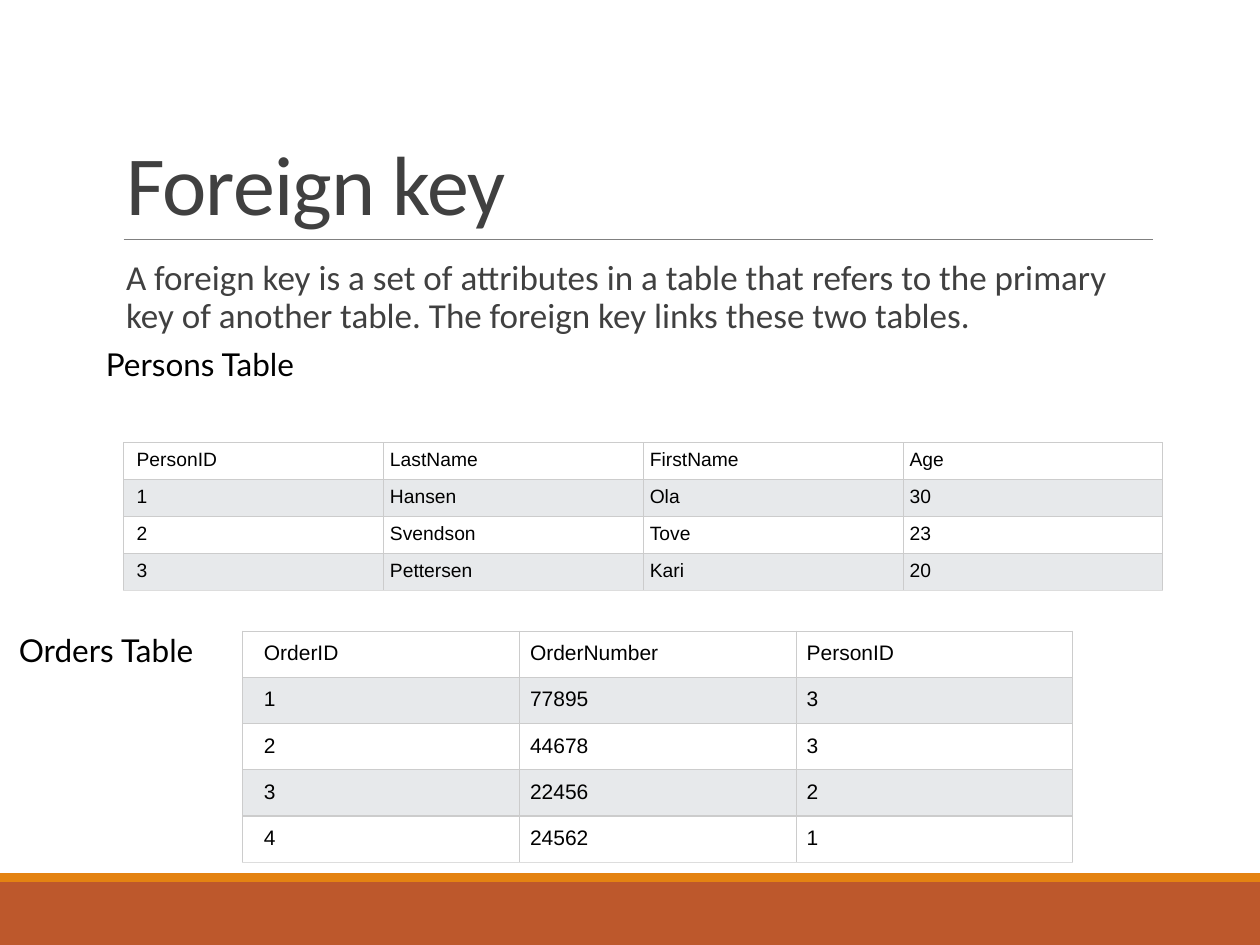
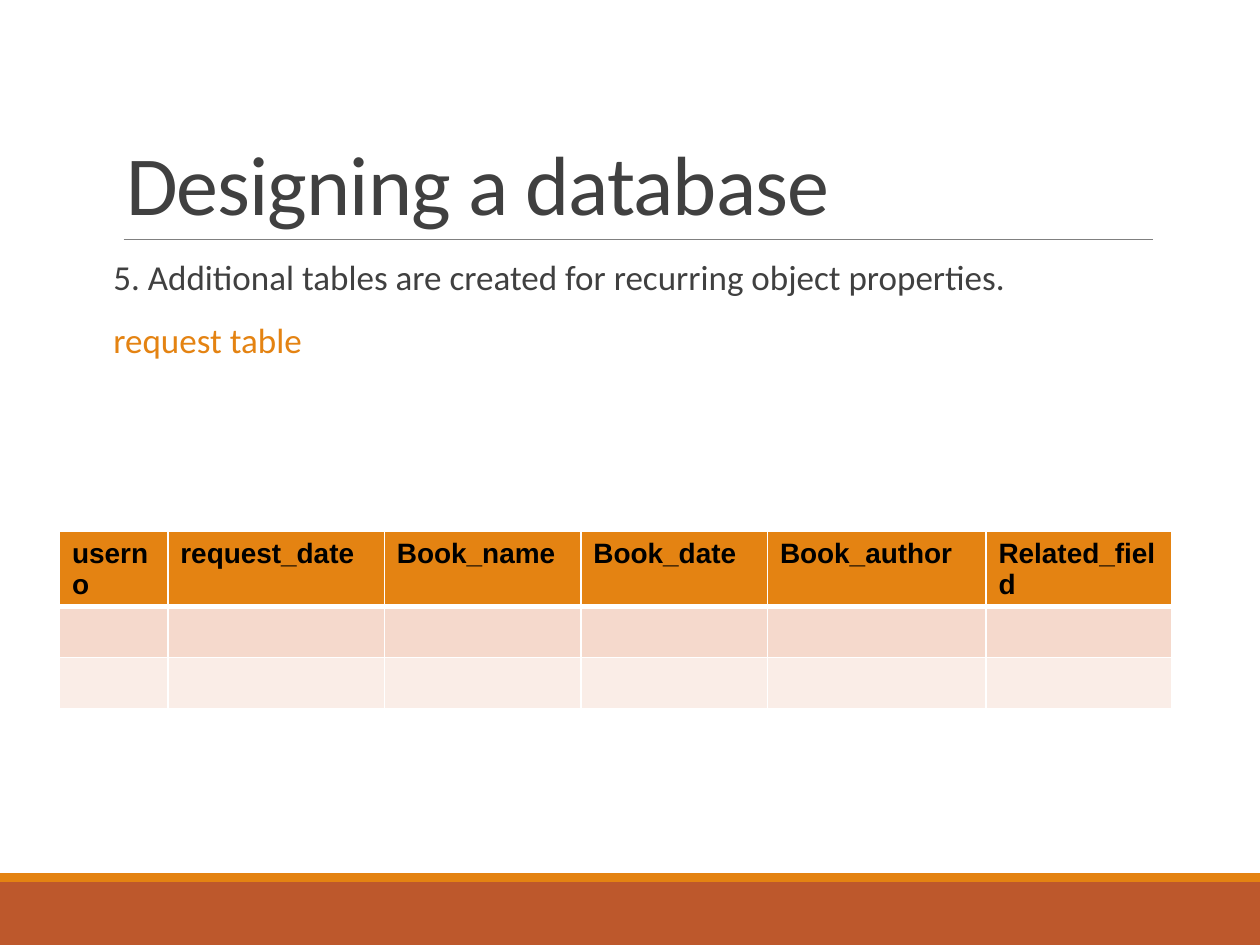
from dataclasses import dataclass

from lxml.etree import SubElement
from pptx import Presentation
from pptx.dml.color import RGBColor
from pptx.enum.shapes import MSO_CONNECTOR, MSO_SHAPE
from pptx.enum.text import MSO_ANCHOR, MSO_AUTO_SIZE, PP_ALIGN
from pptx.oxml import parse_xml
from pptx.oxml.ns import nsdecls, qn
from pptx.util import Pt


@dataclass(frozen=True)
class Theme:
    text_font: str = "Calibri"
    label_font: str = "Lato"
    table_font: str = "Arial"
    title_size: float = 48
    body_size: float = 20
    label_size: float = 18
    ink: str = "404040"
    black: str = "000000"
    white: str = "FFFFFF"
    orange: str = "E48312"
    rust: str = "BD582C"
    rule: str = "808080"
    stripe: str = "E7E9EB"
    grid: str = "CCCCCC"
    grid_end: str = "DDDDDD"
    peach: str = "F5D9CC"
    pale_peach: str = "FAEDE7"


THEME = Theme()
SLIDE_WIDTH, SLIDE_HEIGHT = 720, 540
TEXT_LEFT, TEXT_WIDTH = 64.8, 594
TITLE_BOX = (TEXT_LEFT, 22.3, TEXT_WIDTH, 114.5)
BODY_TOP = 145.4
BANDS = [(504, 36, THEME.rust), (499, 5, THEME.orange)]
RULE_Y, RULE_LEFT, RULE_RIGHT = 136.8, 70.6, 658.8

STRIPED = dict(fills=[THEME.white, THEME.stripe], border=(THEME.grid, 0.75),
               last_border=(THEME.grid_end, 0.75), bold=False)
PERSONS = dict(
    STRIPED, at=(70.6, 252.9), columns=[148.5] * 4, row_height=21.1, size=11,
    insets=(3.75, 3.75, 3.75), first_inset=7.5,
    rows=[
        ["PersonID", "LastName", "FirstName", "Age"],
        ["1", "Hansen", "Ola", "30"],
        ["2", "Svendson", "Tove", "23"],
        ["3", "Pettersen", "Kari", "20"],
    ],
)
ORDERS = dict(
    STRIPED, at=(138.8, 360.7), columns=[158.1] * 3, row_height=26.4, size=12,
    insets=(6, 6, 6), first_inset=12,
    rows=[
        ["OrderID", "OrderNumber", "PersonID"],
        ["1", "77895", "3"],
        ["2", "44678", "3"],
        ["3", "22456", "2"],
        ["4", "24562", "1"],
    ],
)
REQUESTS = dict(
    at=(34, 303.8), columns=[61.9, 123.8, 112.3, 106.6, 124.9, 106.2],
    row_height=29.2, size=16, bold=True,
    insets=(7.2, 7.2, 3.6), first_inset=7.2,
    fills=[THEME.orange, THEME.peach, THEME.pale_peach],
    border=(THEME.white, 1), last_border=(THEME.white, 1), header_border=(THEME.white, 3),
    rows=[
        ["userno", "request_date", "Book_name", "Book_date", "Book_author", "Related_field"],
        [""] * 6,
        [""] * 6,
    ],
)
SLIDES = [
    dict(
        title="Foreign key",
        body=[("A foreign key is a set of attributes in a table that refers to the primary "
               "key of another table. The foreign key links these two tables.", THEME.ink)],
        body_height=73.4, indent=(7.2, 0),
        tables=[PERSONS, ORDERS],
        labels=[("Persons Table", (60.5, 192.2, 130.3, 54), 5),
                ("Orders Table", (10.8, 360.7, 119.5, 61.2), 0)],
    ),
    dict(
        title="Designing a database",
        body=[("5. Additional tables are created for recurring object properties.", THEME.ink),
              ("request table", THEME.orange)],
        body_height=316.8, indent=(40.5, -40.5),
        tables=[REQUESTS], labels=[],
    ),
]


def points(values):
    return [Pt(value) for value in values]


def rgb(color):
    return RGBColor.from_string(color)


def paint(shape, color):
    shape.fill.solid()
    shape.fill.fore_color.rgb = rgb(color)


def style(paragraph, font_name, size, color, bold=False):
    paragraph.alignment = PP_ALIGN.LEFT
    font = paragraph.font
    for run in paragraph.runs:
        run.font.name, run.font.size, run.font.bold = font_name, Pt(size), bold
        run.font.color.rgb = rgb(color)
    return font


def place(shape, box):
    shape.left, shape.top, shape.width, shape.height = points(box)


def set_insets(frame, left, top, right, bottom):
    frame.margin_left, frame.margin_top, frame.margin_right, frame.margin_bottom = points(
        (left, top, right, bottom))


def add_block(slide, box, color):
    block = slide.shapes.add_shape(MSO_SHAPE.RECTANGLE, *points(box))
    block.shadow.inherit = False
    block.line.fill.background()
    paint(block, color)
    return block


def add_frame(slide):
    for top, height, color in BANDS:
        add_block(slide, (0, top, SLIDE_WIDTH, height), color)
    rule = slide.shapes.add_connector(
        MSO_CONNECTOR.STRAIGHT, *points((RULE_LEFT, RULE_Y, RULE_RIGHT, RULE_Y)))
    rule.line.color.rgb = rgb(THEME.rule)
    rule.line.width = Pt(0.5)
    SubElement(rule._element.spPr, qn("a:effectLst"))


def fill_title(title, text):
    place(title, TITLE_BOX)
    frame = title.text_frame
    frame.text = text
    frame.auto_size = MSO_AUTO_SIZE.NONE
    frame.vertical_anchor = MSO_ANCHOR.BOTTOM
    heading = frame.paragraphs[0]
    heading.line_spacing = 0.85
    style(heading, THEME.text_font, THEME.title_size, THEME.ink)
    heading.runs[0].font._element.set("spc", "-50")


def fill_body(body, content):
    place(body, (TEXT_LEFT, BODY_TOP, TEXT_WIDTH, content["body_height"]))
    frame = body.text_frame
    frame.text = "\n".join(text for text, _ in content["body"])
    frame.auto_size = MSO_AUTO_SIZE.NONE
    set_insets(frame, 0, 3.6, 0, 3.6)
    margin, first_line = content["indent"]
    for index, (paragraph, (_, color)) in enumerate(zip(frame.paragraphs, content["body"])):
        properties = paragraph._p.get_or_add_pPr()
        properties.set("marL", str(Pt(margin)))
        properties.set("indent", str(Pt(first_line)))
        SubElement(properties, qn("a:buNone"))
        paragraph.line_spacing = 0.9
        paragraph.space_before = Pt(12 if index else 0)
        paragraph.space_after = Pt(2)
        style(paragraph, THEME.text_font, THEME.body_size, color)


def set_borders(cell, borders):
    properties = cell._tc.get_or_add_tcPr()
    for index, (side, (color, width)) in enumerate(zip("LRTB", borders)):
        properties.insert(index, parse_xml(
            f'<a:ln{side} {nsdecls("a")} w="{Pt(width)}"><a:solidFill>'
            f'<a:srgbClr val="{color}"/></a:solidFill></a:ln{side}>'))


def add_data_table(slide, data):
    rows, columns = data["rows"], data["columns"]
    height = data["row_height"]
    table = slide.shapes.add_table(
        len(rows), len(columns),
        *points((*data["at"], sum(columns), height * len(rows)))).table
    table.first_row = table.horz_banding = False
    for column, width in zip(table.columns, columns):
        column.width = Pt(width)
    border = data["border"]
    header_border = data.get("header_border", border)
    bottoms = [header_border] + [border] * (len(rows) - 2) + [data["last_border"]]
    tops = [border] + bottoms[:-1]
    left, right, vertical = data["insets"]
    for row_index, values in enumerate(rows):
        table.rows[row_index].height = Pt(height)
        for column_index, value in enumerate(values):
            cell = table.cell(row_index, column_index)
            cell.text = value
            set_insets(cell, left if column_index else data["first_inset"],
                       vertical, right, vertical)
            paint(cell, data["fills"][row_index % len(data["fills"])])
            set_borders(cell, (border, border, tops[row_index], bottoms[row_index]))
            style(cell.text_frame.paragraphs[0], THEME.table_font, data["size"],
                  THEME.black, data["bold"])


def add_label(slide, text, box, top_inset):
    label = add_block(slide, box, THEME.white)
    frame = label.text_frame
    frame.text = text
    frame.word_wrap = True
    frame.vertical_anchor = MSO_ANCHOR.TOP
    set_insets(frame, 0, top_inset, 0, 5)
    style(frame.paragraphs[0], THEME.label_font, THEME.label_size, THEME.black)


def main():
    deck = Presentation()
    deck.slide_width, deck.slide_height = points((SLIDE_WIDTH, SLIDE_HEIGHT))
    for content in SLIDES:
        slide = deck.slides.add_slide(deck.slide_layouts[1])
        add_frame(slide)
        fill_title(slide.shapes.title, content["title"])
        fill_body(slide.placeholders[1], content)
        for data in content["tables"]:
            add_data_table(slide, data)
        for label in content["labels"]:
            add_label(slide, *label)
    deck.save("out.pptx")


if __name__ == "__main__":
    main()
